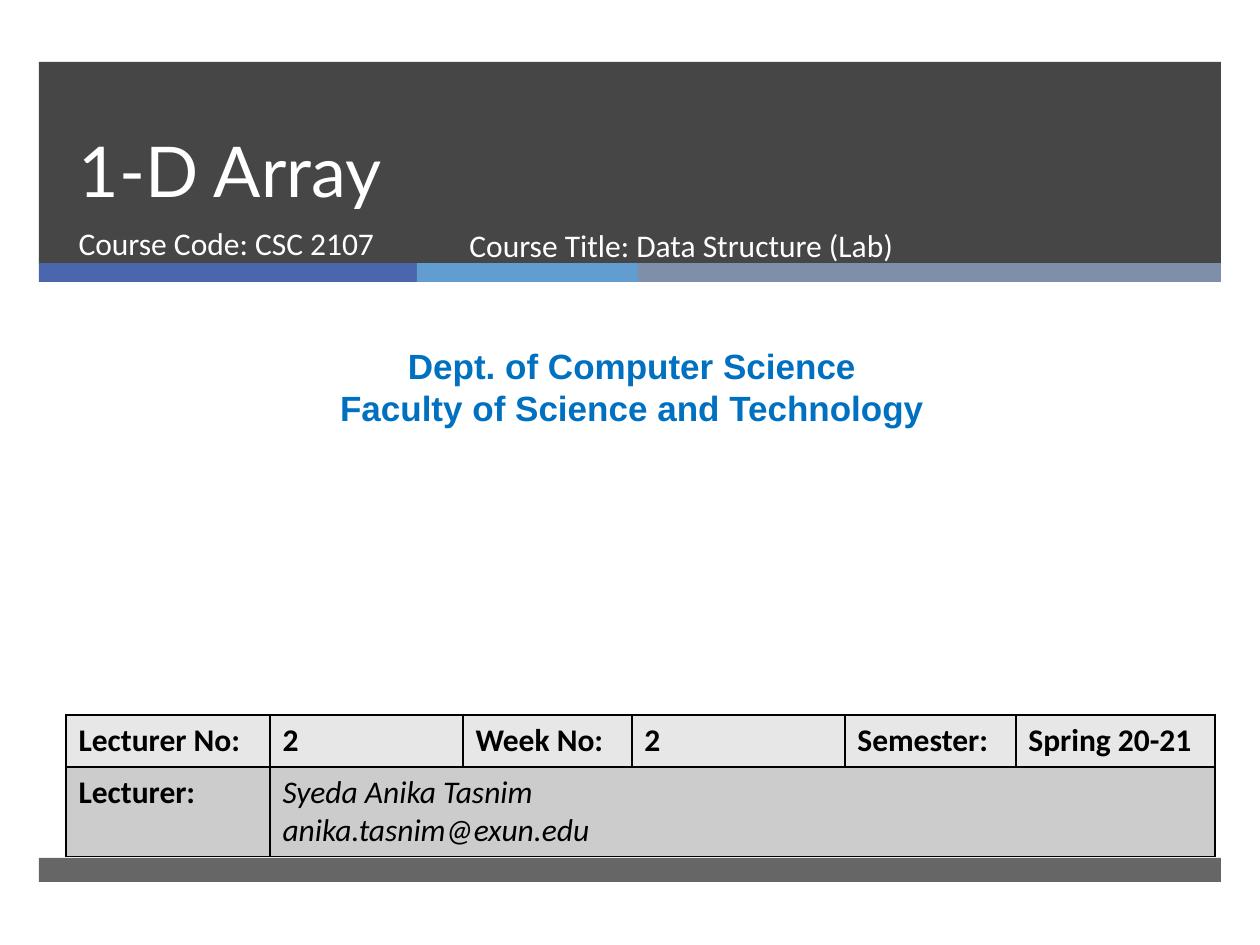
from lxml import etree
from pptx import Presentation
from pptx import util as u
from pptx.dml.color import RGBColor
from pptx.enum import shapes, text
from pptx.oxml import ns

SCALE = 914400 / 126
WHITE = RGBColor(0xFF, 0xFF, 0xFF)
BLACK = RGBColor(0, 0, 0)
CHARCOAL = RGBColor(0x26, 0x26, 0x26)
INDIGO = RGBColor(0x4A, 0x66, 0xAC)
SKY = RGBColor(0x62, 0x9D, 0xD1)
SLATE = RGBColor(0x7F, 0x8F, 0xA9)
BLUE = RGBColor(0x00, 0x70, 0xC0)
LIGHT_GRAY = RGBColor(0xE7, 0xE7, 0xE7)
MID_GRAY = RGBColor(0xCC, 0xCC, 0xCC)

# left, top, width, height, colour, opacity in percent
BARS = [
    (39, 62, 1182, 202, CHARCOAL, 85),
    (39, 263, 378, 19, INDIGO, 100),
    (417, 263, 221, 19, SKY, 100),
    (638, 263, 583, 19, SLATE, 100),
    (39, 858, 1182, 24, CHARCOAL, 70),
]
TITLE = "1-D Array"
COURSE_CODE = "Course Code: CSC 2107"
COURSE_TITLE = "Course Title: Data Structure (Lab)"
DEPARTMENT = ["Dept. of Computer Science", "Faculty of Science and Technology"]
LECTURE_ROW = ["Lecturer No:", "2", "Week No:", "2", "Semester:", "Spring 20-21"]
LECTURER_LABEL = "Lecturer:"
LECTURER = ["Syeda Anika Tasnim", "anika.tasnim@exun.edu"]
COLUMN_WIDTHS = [204, 193, 169, 213, 171, 199]
ROW_HEIGHTS = [52, 88]


def px(length):
    """Turn picture pixels into EMU."""
    return u.Emu(round(length * SCALE))


def place(shape, left, top, width, height):
    """Move and size a shape, in pixels."""
    shape.left, shape.top = px(left), px(top)
    shape.width, shape.height = px(width), px(height)


def write(frame, lines, *, size=18, font="Calibri", color=BLACK, bold=False,
          italic=False, align=text.PP_ALIGN.LEFT, spacing=None,
          anchor=text.MSO_ANCHOR.TOP):
    """Fill a text frame with one formatted paragraph per line."""
    frame.word_wrap = True
    frame.auto_size = text.MSO_AUTO_SIZE.NONE
    frame.vertical_anchor = anchor
    write_lines(frame, lines, size, font, color, bold, italic, align, spacing)


def write_lines(frame, lines, size, font, color, bold, italic, align, spacing):
    """Write the paragraphs of a text frame."""
    for index, line in enumerate(lines):
        paragraph = frame.add_paragraph() if index else frame.paragraphs[0]
        paragraph.alignment = align
        paragraph.space_before = u.Pt(0)
        if spacing:
            paragraph.line_spacing = spacing
        run = paragraph.add_run()
        run.text = line
        run.font.size, run.font.name = u.Pt(size), font
        run.font.bold, run.font.italic = bold, italic
        run.font.color.rgb = color


def add_bar(slide, left, top, width, height, color, opacity):
    """Add a plain rectangle, translucent below 100 percent."""
    bar = slide.shapes.add_shape(shapes.MSO_SHAPE.RECTANGLE, px(left), px(top),
                                 px(width), px(height))
    bar.shadow.inherit = False
    bar.fill.solid()
    bar.fill.fore_color.rgb = color
    bar.line.fill.background()
    if opacity < 100:
        fill_color = bar.fill._xPr.find(".//" + ns.qn("a:srgbClr"))
        etree.SubElement(fill_color, ns.qn("a:alpha"), val=str(opacity * 1000))


def add_text(slide, box, lines, **style):
    """Add a text box with formatted lines."""
    shape = slide.shapes.add_textbox(*map(px, box))
    write(shape.text_frame, lines, **style)


def style_cell(cell, color):
    """Give a cell its fill and a thin black border on every side."""
    properties = cell._tc.get_or_add_tcPr()
    for side in ("lnL", "lnR", "lnT", "lnB"):
        line = etree.SubElement(properties, ns.qn("a:" + side), w=str(u.Pt(1)))
        fill = etree.SubElement(line, ns.qn("a:solidFill"))
        etree.SubElement(fill, ns.qn("a:srgbClr"), val=str(BLACK))
    cell.fill.solid()
    cell.fill.fore_color.rgb = color


def add_lecture_table(slide):
    """Add the table of lecture details."""
    table = slide.shapes.add_table(
        len(ROW_HEIGHTS), len(COLUMN_WIDTHS), px(66), px(715),
        px(sum(COLUMN_WIDTHS)), px(sum(ROW_HEIGHTS))).table
    for column, width in zip(table.columns, COLUMN_WIDTHS):
        column.width = px(width)
    for row, height, color in zip(table.rows, ROW_HEIGHTS, (LIGHT_GRAY, MID_GRAY)):
        row.height = px(height)
        for cell in row.cells:
            style_cell(cell, color)
    table.cell(1, 1).merge(table.cell(1, len(COLUMN_WIDTHS) - 1))
    style = dict(size=18, font="Calibri", color=BLACK,
                 align=text.PP_ALIGN.LEFT, spacing=None)
    for index, label in enumerate(LECTURE_ROW):
        write_lines(table.cell(0, index).text_frame, [label],
                    bold=True, italic=False, **style)
    write_lines(table.cell(1, 0).text_frame, [LECTURER_LABEL],
                bold=True, italic=False, **style)
    write_lines(table.cell(1, 1).text_frame, LECTURER,
                bold=False, italic=True, **style)


def build():
    """Build the title slide and save it."""
    presentation = Presentation()
    presentation.slide_width, presentation.slide_height = px(1260), px(945)
    slide = presentation.slides.add_slide(presentation.slide_layouts[0])
    title, subtitle = slide.placeholders
    for bar in BARS:
        add_bar(slide, *bar)
    # The placeholders come first in the tree; bring them above the bars.
    for placeholder in (title, subtitle):
        slide.shapes._spTree.append(placeholder._element)
    place(title, 66, 68, 1076, 150)
    write(title.text_frame, [TITLE], size=40, font="Lato", color=WHITE,
          spacing=u.Pt(46), anchor=text.MSO_ANCHOR.BOTTOM)
    place(subtitle, 66, 218, 384, 67)
    write(subtitle.text_frame, [COURSE_CODE], color=WHITE)
    add_text(slide, (10, 338, 1244, 97), DEPARTMENT, size=20, font="Arial",
             color=BLUE, bold=True, align=text.PP_ALIGN.CENTER)
    add_lecture_table(slide)
    add_text(slide, (457, 220, 573, 67), [COURSE_TITLE], color=WHITE)
    presentation.save("out.pptx")


build()
